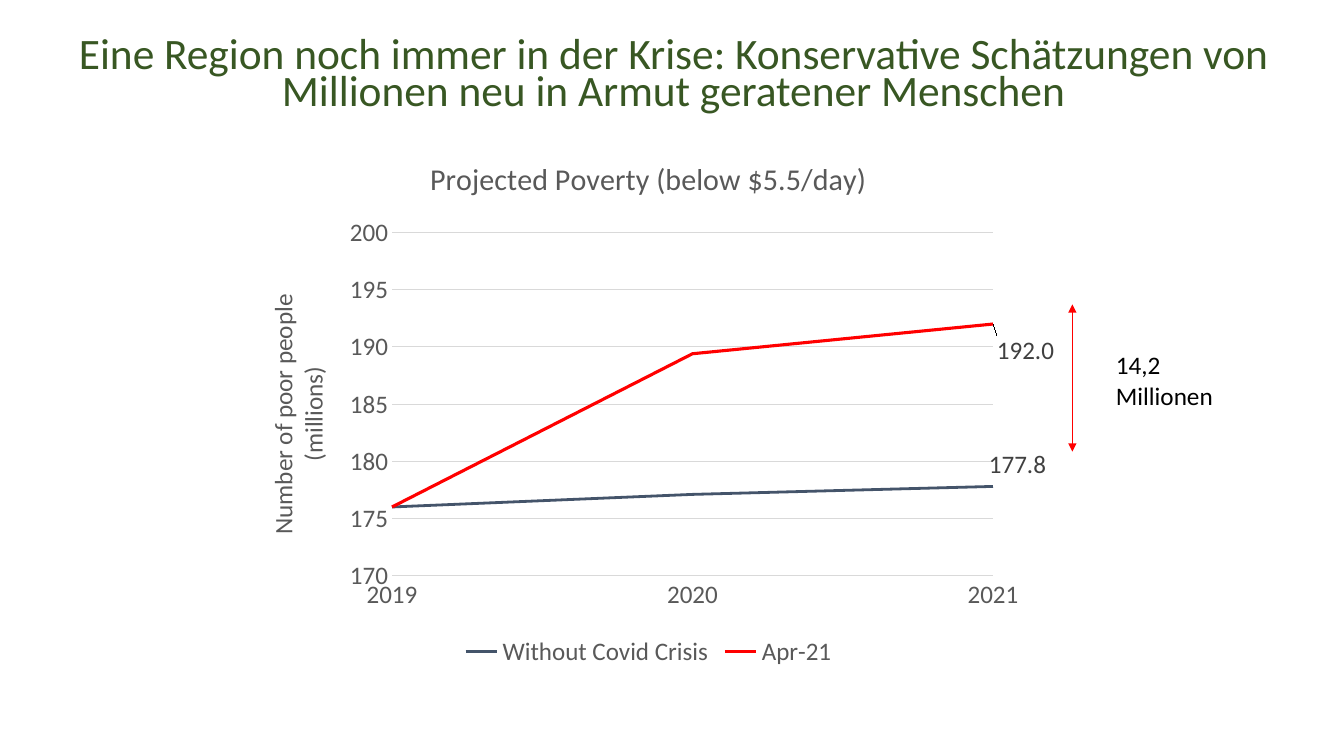
from lxml import etree
from pptx import Presentation
from pptx.chart.data import CategoryChartData
from pptx.dml.color import RGBColor
from pptx.enum import chart as kinds, shapes, text
from pptx.oxml import ns
from pptx.util import Pt

GREEN = RGBColor(0x38, 0x57, 0x23)
GREY = RGBColor(0x59, 0x59, 0x59)
DARK = RGBColor(0x40, 0x40, 0x40)
PALE = RGBColor(0xD9, 0xD9, 0xD9)
NAVY = RGBColor(0x44, 0x54, 0x6A)
RED = RGBColor(0xFF, 0, 0)
BLACK = RGBColor(0, 0, 0)


def layout(**vals):
    """Return a manual chart layout with the given entries."""
    root = etree.Element(ns.qn("c:layout"))
    man = etree.SubElement(root, ns.qn("c:manualLayout"))
    for name, val in vals.items():
        etree.SubElement(man, ns.qn("c:" + name)).set("val", str(val))
    return root


class Sheet:
    face = "Calibri"
    size = 18

    def __init__(self, prs):
        self.slide = prs.slides.add_slide(prs.slide_layouts[5])

    def font(self, font, color, size=None):
        font.name = self.face
        font.size = Pt(size or self.size)
        font.bold = False
        font.color.rgb = color

    def title(self, words, left, top, width, height):
        box = self.slide.shapes.title
        box.left, box.top, box.width, box.height = map(Pt, (left, top, width, height))
        frame = box.text_frame
        frame.text = words
        frame.word_wrap = True
        frame.auto_size = text.MSO_AUTO_SIZE.NONE
        frame.vertical_anchor = text.MSO_ANCHOR.MIDDLE
        para = frame.paragraphs[0]
        para.alignment = text.PP_ALIGN.CENTER
        para.line_spacing = 0.7
        self.font(para.font, GREEN, 31)

    def note(self, words, left, top, width, height):
        box = self.slide.shapes.add_textbox(*map(Pt, (left, top, width, height)))
        box.text_frame.word_wrap = True
        para = box.text_frame.paragraphs[0]
        para.text = words
        self.font(para.font, BLACK)

    def arrow(self, x, top, end):
        """Draw an upright arrow with a head at both ends."""
        line = self.slide.shapes.add_connector(
            shapes.MSO_CONNECTOR.STRAIGHT, Pt(x), Pt(top), Pt(x), Pt(end))
        line.line.color.rgb = RED
        line.line.width = Pt(0.5)
        for tag in ("a:headEnd", "a:tailEnd"):
            etree.SubElement(line.line._ln, ns.qn(tag)).set("type", "triangle")
        etree.SubElement(line._element.spPr, ns.qn("a:effectLst"))

    def head(self, title, lines, size=None):
        """Fill the title of a chart or an axis."""
        title.text_frame.text = "\n".join(lines)
        for para in title.text_frame.paragraphs:
            self.font(para.font, GREY, size)

    def chart(self, cats, rows, left, top, width, height):
        """Draw a line chart; a row is name, values, colour, weight, label shift."""
        data = CategoryChartData(number_format="0.0")
        data.categories = cats
        for name, vals, *_ in rows:
            data.add_series(name, vals)
        chart = self.slide.shapes.add_chart(
            kinds.XL_CHART_TYPE.LINE, *map(Pt, (left, top, width, height)), data).chart
        self.font(chart.font, GREY)
        chart.has_legend = True
        chart.legend.position = kinds.XL_LEGEND_POSITION.BOTTOM
        chart.legend.include_in_layout = False
        self.font(chart.legend.font, GREY)
        chart.plots[0].vary_by_categories = False
        for line, row in zip(chart.plots[0].series, rows):
            self.series(line, *row[2:])
        self.axes(chart)
        area = chart._chartSpace.chart.plotArea
        for old in area.findall(ns.qn("c:layout")):
            area.remove(old)
        area.insert(0, layout(layoutTarget="inner", xMode="edge", yMode="edge",
                              x=0.18, y=0.18, w=0.75, h=0.64))
        return chart

    def series(self, line, color, weight, shift):
        line.smooth = False
        line.format.line.color.rgb = color
        line.format.line.width = Pt(weight)
        line.marker.style = kinds.XL_MARKER_STYLE.NONE
        line.data_labels.show_value = False
        label = line.points[len(line.values) - 1].data_label
        self.font(label.font, DARK)
        label.position = kinds.XL_LABEL_POSITION.RIGHT
        mark = line._element.find(".//" + ns.qn("c:dLbl"))
        mark.insert(1, layout(x=shift[0], y=shift[1]))

    def axes(self, chart):
        years, people = chart.category_axis, chart.value_axis
        for axis in (years, people):
            axis.major_tick_mark = axis.minor_tick_mark = kinds.XL_TICK_MARK.NONE
            self.font(axis.tick_labels.font, GREY)
        people.minimum_scale, people.maximum_scale, people.major_unit = 170, 200, 5
        people.tick_labels.number_format = "0"
        people.tick_labels.number_format_is_linked = False
        people.format.line.fill.background()
        for line in (years.format.line, people.major_gridlines.format.line):
            line.color.rgb = PALE
            line.width = Pt(0.75)
        cross = etree.Element(ns.qn("c:crossBetween"))
        cross.set("val", "midCat")
        people._element.find(ns.qn("c:majorUnit")).addprevious(cross)


def main():
    prs = Presentation()
    prs.slide_width, prs.slide_height = Pt(960), Pt(540)
    sheet = Sheet(prs)
    sheet.title("Eine Region noch immer in der Krise: Konservative Schätzungen von "
                "Millionen neu in Armut geratener Menschen", 25.2, 26.6, 911.5, 56.9)
    rows = [("Without Covid Crisis", (176, 177.1, 177.8), NAVY, 2, (-0.01, -0.04)),
            ("Apr-21", (176, 189.4, 192), RED, 2.25, (0, 0.05))]
    chart = sheet.chart(("2019", "2020", "2021"), rows, 177, 97.2, 576, 383)
    sheet.head(chart.chart_title, ["Projected Poverty (below $5.5/day)"], 21.6)
    sheet.head(chart.value_axis.axis_title, ["Number of poor people", "(millions)"])
    sheet.arrow(766, 217.4, 322.6)
    sheet.note("14,2 Millionen", 790, 246.2, 101.5, 50)
    prs.save("out.pptx")


if __name__ == "__main__":
    main()
